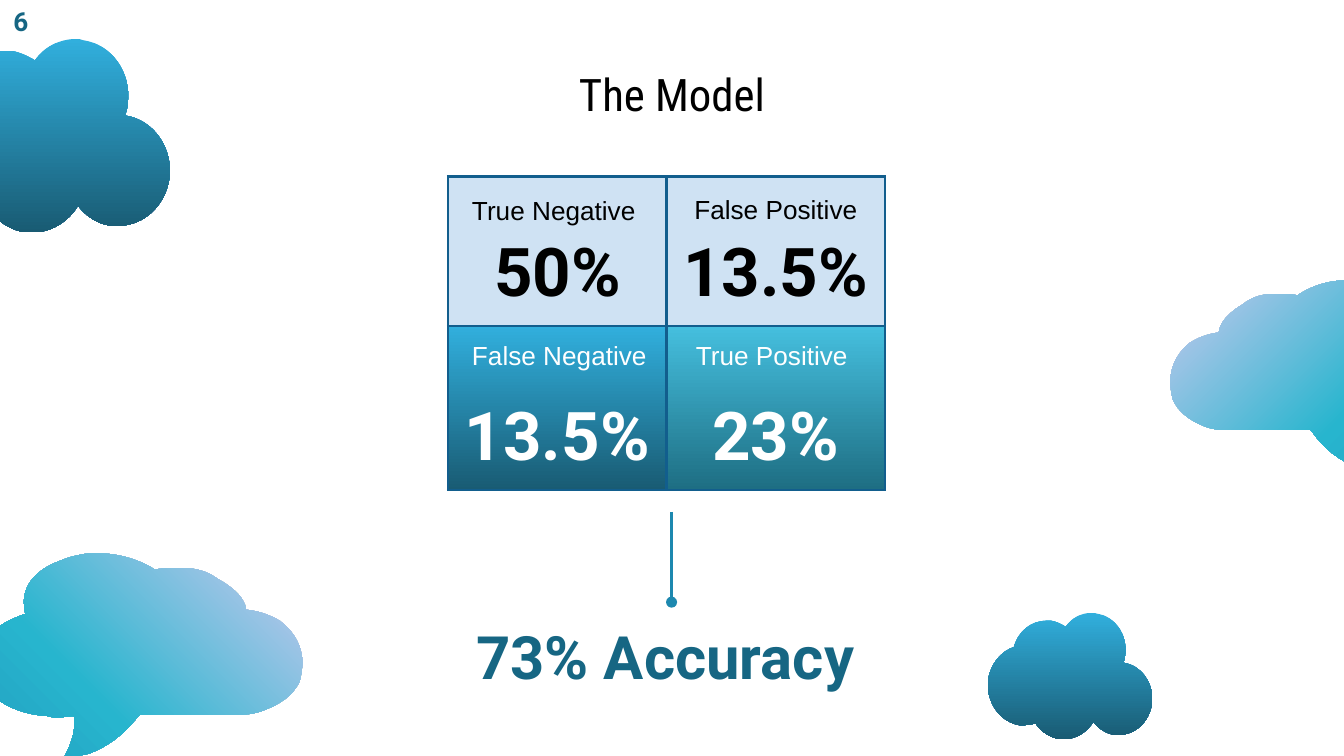
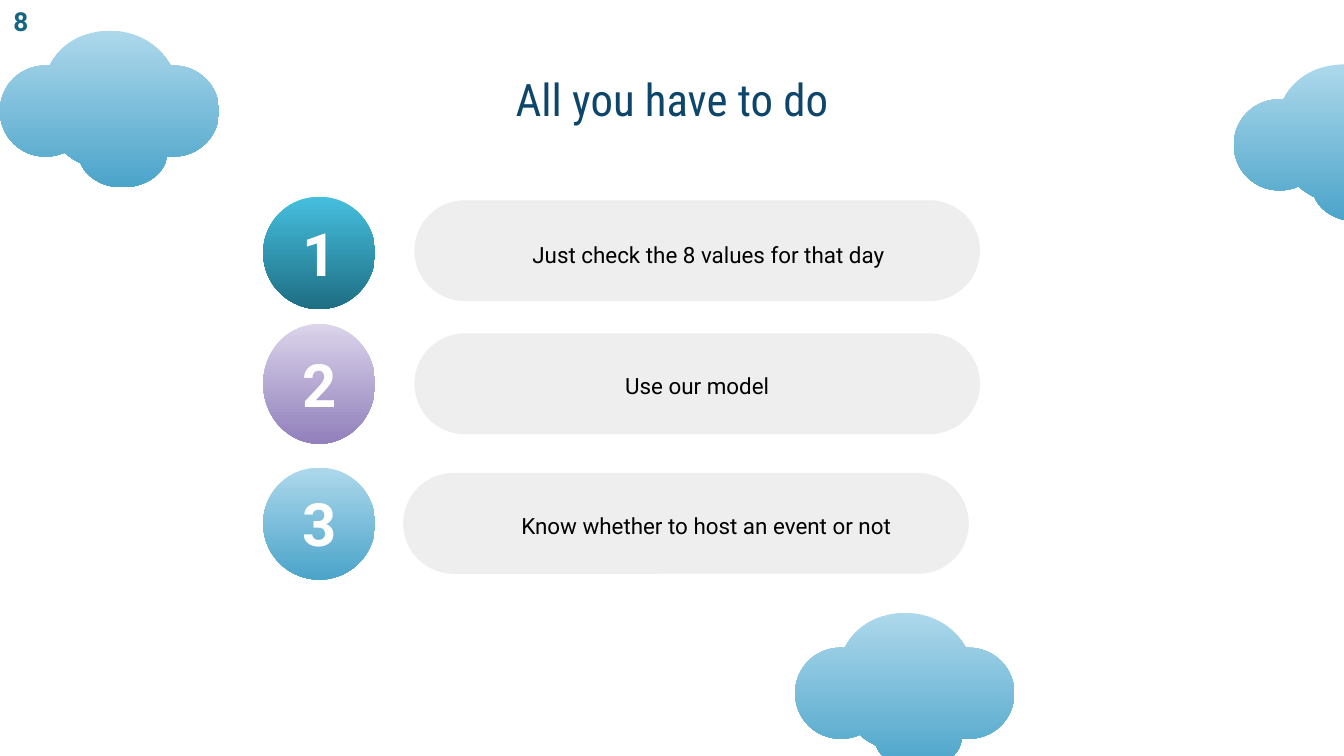
from dataclasses import dataclass
from lxml.etree import SubElement
from pptx import Presentation
from pptx.dml.color import RGBColor as Rgb
from pptx.enum.shapes import MSO_CONNECTOR as Link, MSO_SHAPE as Form
from pptx.enum.text import MSO_ANCHOR as Anchor, MSO_AUTO_SIZE as Fit, PP_ALIGN as Align
from pptx.oxml.ns import qn
from pptx.util import Pt


@dataclass(frozen=True)
class Theme:
    # Colours
    ink: str = "000000"
    white: str = "FFFFFF"
    navy: str = "0D466A"
    teal: str = "166683"
    rule: str = "1D88AF"
    edge: str = "125E8D"
    pale: str = "CFE2F3"
    pill: str = "EEEEEE"
    # Gradients: position and colour
    deep: tuple = ((0, "31AFDD"), (100, "195B73"))
    aqua: tuple = ((0, "45BFDE"), (100, "1E6E83"))
    lilac: tuple = ((0, "DBD4EB"), (100, "9180BB"))
    sky: tuple = ((0, "ADD8EB"), (100, "4BA4CA"))
    dusk: tuple = ((0, "C9C9EE"), (66, "27B5CE"), (100, "229FBF"))
    # Fonts and type sizes
    head: str = "Roboto Condensed"
    body: str = "Roboto"
    label: str = "Arial"
    title: int = 24
    big: int = 36
    mark: int = 32
    small: int = 14
    text: int = 12


T = Theme()


@dataclass(frozen=True)
class Cloud:
    size: tuple
    start: tuple
    curves: tuple  # two control points and an end point each


SPEECH = Cloud((242, 153), (90, 0), (
    (86, 0, 81, 0, 77, 1), (72, 2, 68, 3, 63, 5), (35, 15, 34, 32, 35, 40),
    (35, 43, 36, 45, 36, 45), (36, 45, 29, 47, 20, 52), (8, 60, 0, 71, 1, 83),
    (2, 108, 30, 120, 53, 121), (55, 122, 58, 122, 60, 122),
    (64, 122, 68, 121, 72, 121), (73, 130, 72, 138, 64, 153),
    (71, 152, 77, 150, 83, 149), (104, 141, 115, 127, 119, 122),
    (120, 121, 121, 120, 121, 120), (121, 120, 159, 120, 193, 120),
    (197, 120, 206, 120, 215, 116), (225, 112, 235, 106, 240, 95),
    (241, 91, 242, 86, 242, 80), (241, 65, 233, 56, 225, 50),
    (218, 46, 212, 44, 207, 43), (203, 42, 200, 42, 200, 42),
    (200, 42, 201, 31, 179, 19), (171, 13, 162, 11, 154, 11),
    (152, 11, 150, 11, 148, 11), (138, 11, 132, 12, 132, 12),
    (132, 12, 115, 0, 90, 0)))
PUFF = Cloud((195, 144), (124, 0), (
    (111, 0, 100, 6, 93, 16), (88, 13, 82, 10, 76, 9), (74, 9, 72, 9, 71, 9),
    (53, 9, 38, 21, 33, 39), (18, 44, 6, 58, 3, 76), (0, 101, 16, 124, 39, 128),
    (41, 128, 43, 128, 45, 128), (50, 128, 54, 127, 58, 126),
    (64, 135, 74, 142, 86, 144), (87, 144, 89, 144, 91, 144),
    (105, 144, 118, 136, 125, 124), (131, 132, 140, 138, 150, 139),
    (152, 139, 153, 139, 155, 139), (174, 139, 190, 124, 193, 104),
    (196, 81, 181, 60, 160, 57), (161, 54, 162, 51, 162, 48),
    (165, 25, 150, 4, 129, 1), (127, 0, 125, 0, 124, 0)))
SOFT = Cloud((163, 117), (82, 0), (
    (62, 0, 45, 10, 37, 26), (36, 26, 35, 26, 34, 26), (15, 26, 0, 41, 0, 60),
    (0, 79, 15, 94, 34, 94), (39, 94, 44, 93, 48, 91), (51, 94, 56, 97, 60, 99),
    (64, 109, 76, 117, 91, 117), (109, 117, 123, 106, 124, 94),
    (126, 94, 127, 94, 129, 94), (148, 94, 163, 79, 163, 60),
    (163, 41, 148, 26, 129, 26), (128, 26, 127, 26, 127, 26),
    (118, 10, 101, 0, 82, 0)))


def pts(*vals):
    return [Pt(v) for v in vals]


def paint(fill, host, tone, angle=90):
    """Fill with one colour, or with gradient stops at a clockwise angle."""
    if isinstance(tone, str):
        fill.solid()
        fill.fore_color.rgb = Rgb.from_string(tone)
        return
    fill.gradient()
    fill.gradient_angle = 360 - angle
    stops = next(host.iter(qn("a:gsLst")))
    for old in list(stops):
        stops.remove(old)
    for pos, tint in tone:
        stop = SubElement(stops, qn("a:gs"), pos=str(pos * 1000))
        SubElement(stop, qn("a:srgbClr"), val=tint)


def write(frame, text, size, font, tint, bold=False, align=Align.CENTER):
    para = frame.paragraphs[0]
    para.alignment = align
    run = para.add_run()
    run.text = text
    run.font.size = Pt(size)
    run.font.name = font
    run.font.bold = bold
    run.font.color.rgb = Rgb.from_string(tint)


def note(slide, box, *args, wrap=True, **opts):
    frame = slide.shapes.add_textbox(*pts(*box)).text_frame
    frame.word_wrap = wrap
    write(frame, *args, **opts)
    return frame


def plain(shape, tone, angle=90):
    shape.shadow.inherit = False
    shape.line.fill.background()
    paint(shape.fill, shape.element, tone, angle)


def bend(shape):
    """Turn each three straight segments into one cubic curve."""
    route = next(shape.element.iter(qn("a:path")))
    lines = route.findall(qn("a:lnTo"))
    end = route.find(qn("a:close"))
    route.remove(end)
    for i in range(0, len(lines), 3):
        curve = SubElement(route, qn("a:cubicBezTo"))
        for line in lines[i:i + 3]:
            curve.append(line[0])
            route.remove(line)
    route.append(end)


def puff(slide, cloud, box, tone, flip=False, angle=90):
    left, top, wide, high = box

    def place(x, y):
        x, y = x / cloud.size[0], y / cloud.size[1]
        return Pt(left + wide * (1 - x if flip else x)), Pt(top + high * y)

    pen = slide.shapes.build_freeform(*place(*cloud.start), scale=1.0)
    pen.add_line_segments([place(*c[i:i + 2]) for c in cloud.curves
                           for i in (0, 2, 4)], close=True)
    shape = pen.convert_to_shape()
    bend(shape)
    plain(shape, tone, angle)


def start(deck, title, top, tint, page):
    """Add a slide with its title and page number."""
    slide = deck.slides.add_slide(deck.slide_layouts[5])
    head = slide.shapes.title
    head.left, head.top, head.width, head.height = pts(36, top, 648, 45)
    frame = head.text_frame
    frame.auto_size = Fit.NONE
    frame.vertical_anchor = Anchor.TOP
    frame.margin_left = frame.margin_right = Pt(7.2)
    frame.margin_top = frame.margin_bottom = Pt(7.2)
    write(frame, title, T.title, T.head, tint)
    note(slide, (0, -0.4, 22.3, 24.5), page, T.small, T.body, T.teal,
         bold=True, wrap=False)
    return slide


def border(cell):
    props = cell._tc.get_or_add_tcPr()
    for i, side in enumerate(("lnL", "lnR", "lnT", "lnB")):
        line = SubElement(props, qn("a:" + side), w=str(Pt(1.5)))
        ink = SubElement(line, qn("a:solidFill"))
        SubElement(ink, qn("a:srgbClr"), val=T.edge)
        props.insert(i, line)


def matrix(slide, box):
    """Confusion matrix: shares in a table, names laid over it."""
    left, top, wide, high = box
    rows = (
        (80.2, T.ink, (("50%", T.pale), ("13.5%", T.pale))),
        (87.8, T.white, (("13.5%", T.deep), ("23%", T.aqua))),
    )
    grid = slide.shapes.add_table(2, 2, *pts(*box)).table
    grid.first_row = grid.horz_banding = False
    for col in grid.columns:
        col.width = Pt(wide / 2)
    for r, (tall, tint, cells) in enumerate(rows):
        grid.rows[r].height = Pt(tall)
        for c, (share, tone) in enumerate(cells):
            cell = grid.cell(r, c)
            cell.vertical_anchor = Anchor.BOTTOM
            cell.margin_left = cell.margin_right = Pt(7.2)
            cell.margin_top = cell.margin_bottom = Pt(7.2)
            write(cell.text_frame, share, T.big, T.body, tint, True)
            paint(cell.fill, cell._tc, tone)
            border(cell)
    names = (
        ("True Negative", 5.7, 6.1, T.ink), ("True Positive", 125.6, 83.9, T.white),
        ("False Negative", 5.7, 83.9, T.white), ("False Positive", 124.8, 5.8, T.ink),
    )
    for name, x, y, tint in names:
        note(slide, (left + x, top + y, 108, 24.5), name, T.small, T.label,
             tint, align=Align.LEFT)


def result(slide, box):
    """Drop line with a dot, and the accuracy under it."""
    left, top, wide, high = box
    mid = left + wide / 2
    drop = slide.shapes.add_connector(Link.STRAIGHT, *pts(mid, top, mid, top + 48.3))
    drop.line.color.rgb = Rgb.from_string(T.rule)
    drop.line.width = Pt(1.5)
    SubElement(drop.line._get_or_add_ln(), qn("a:tailEnd"), type="oval")
    SubElement(drop.element.spPr, qn("a:effectLst"))
    note(slide, (left - 3.3, top + high - 46, wide, 46), "73% Accuracy",
         T.mark, T.body, T.teal, bold=True)


def step(slide, box, num, tone, rise, bar, spot, text):
    """Numbered badge with its pill; rise, bar and spot are offsets in the box."""
    left, top, wide, high = box
    pill = slide.shapes.add_shape(
        Form.ROUNDED_RECTANGLE, *pts(left + bar[0], top + bar[1], 303, 54))
    pill.adjustments[0] = 0.5
    plain(pill, T.pill)
    badge = slide.shapes.add_shape(Form.OVAL, *pts(left, top, wide, high))
    plain(badge, tone)
    note(slide, (left + 1.6, top + rise, 57.6, 46), str(num),
         T.mark, T.body, T.white, bold=True)
    frame = note(slide, (left + spot[0], top + spot[1], 303, 36.7), text,
                 T.text, T.body, T.ink)
    frame.vertical_anchor = Anchor.MIDDLE
    frame.margin_top = frame.margin_bottom = Pt(7.2)
    frame.paragraphs[0].line_spacing = 1.15


def model(deck):
    slide = start(deck, "The Model", 28.4, T.ink, "6")
    matrix(slide, (240.1, 94.5, 234, 168))
    result(slide, (243.2, 274.3, 233.2, 100))
    puff(slide, SPEECH, (627, 150.2, 150, 102.2), T.dusk, True, 45)
    puff(slide, SPEECH, (-12.2, 296.5, 174.2, 110.2), T.dusk, angle=135)
    puff(slide, PUFF, (528, 328.3, 90, 67.7), T.deep)
    puff(slide, PUFF, (-48.2, 20.9, 140.4, 103.7), T.deep)


def steps(deck):
    slide = start(deck, "All you have to do", 31.3, T.navy, "8")
    rows = (
        (105.4, 60.2, T.aqua, 7.1, (81, 1.9), (87.1, 11.7),
         "Just check the 8 values for that day"),
        (173.5, 64.2, T.lilac, 9.5, (81, 5.1), (81, 13.7), "Use our model"),
        (250.5, 60, T.sky, 6.7, (75, 2.9), (85.9, 11.6),
         "Know whether to host an event or not"),
    )
    for num, (top, high, *rest) in enumerate(rows, 1):
        step(slide, (141, top, 60, high), num, *rest)
    for x, y in ((426, 328.3), (661, 34.5), (0, 16.4)):
        puff(slide, SOFT, (x, y, 117.4, 84), T.sky)


def main():
    deck = Presentation()
    deck.slide_width, deck.slide_height = pts(720, 405)
    model(deck)
    steps(deck)
    deck.save("out.pptx")


if __name__ == "__main__":
    main()
